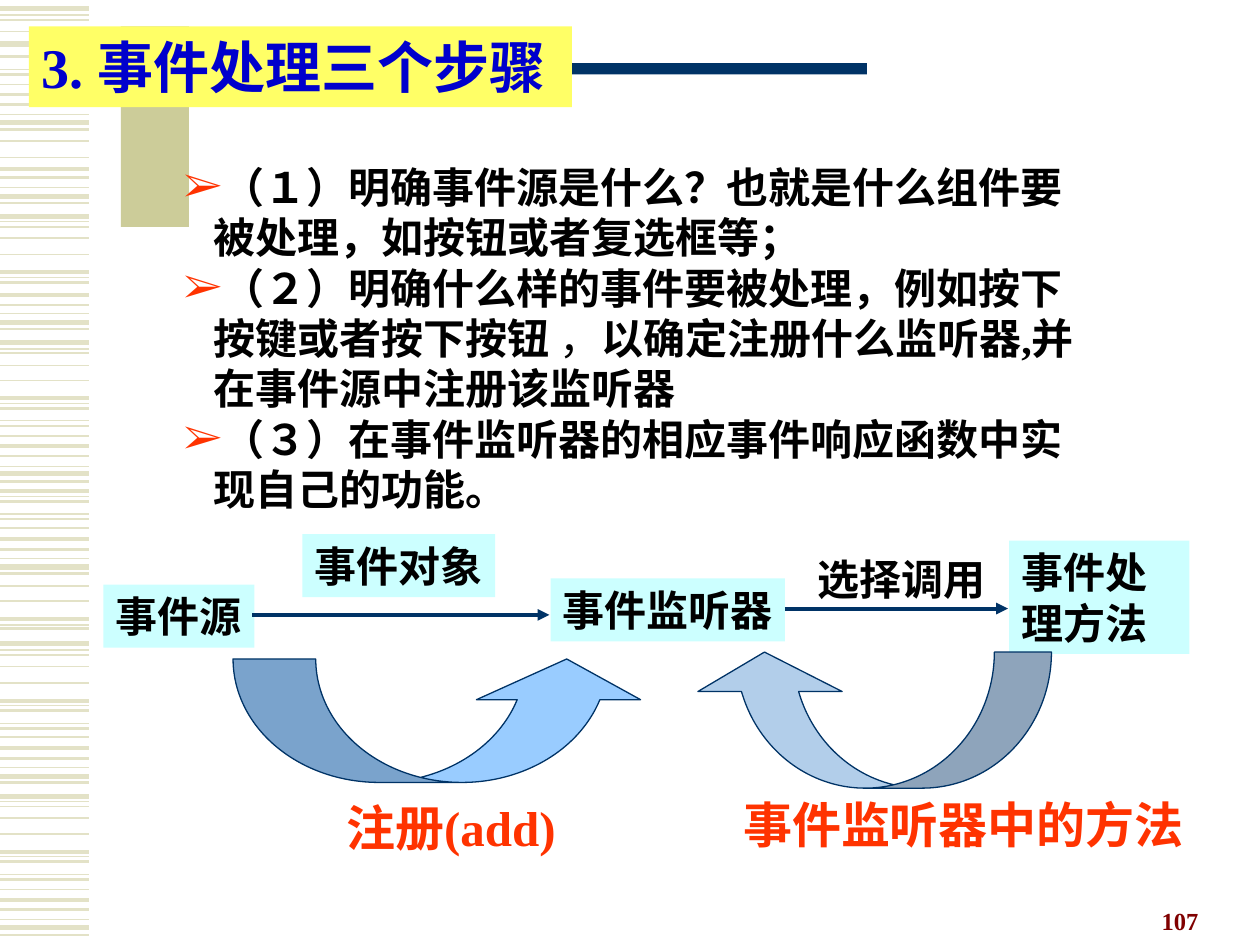
from lxml import etree
from pptx import Presentation, util as u
from pptx.dml.color import RGBColor
from pptx.enum import lang, shapes, text
from pptx.oxml import ns

FONT = "Times New Roman"
COLORS = {
    "stripe": "E3E2C7", "khaki": "CCCC99", "navy": "003366", "yellow": "FFFF66",
    "blue": "0000CC", "cyan": "CCFFFF", "black": "000000", "red": "FF3300",
    "maroon": "800000", "sky": "99CCFF", "pale": "B2CEEA",
}

# Heights of the stripes in the left margin, by line width in points
STRIPE_END = 0.71
STRIPES = {
    0.75: [0.12, 0.55, 0.91, 1.49, 1.76, 2.2, 2.49, 2.77, 3.2, 3.34, 3.7, 3.94, 4.08,
           4.43, 4.96, 5.16, 5.6, 5.74, 6.09, 6.36, 6.8, 6.94, 7.3],
    1: [0.16, 0.25, 0.67, 1.12, 1.25, 1.8, 1.89, 2.02, 2.8, 2.9, 3.02, 3.46, 4.19,
        4.65, 4.77, 5.2, 5.29, 5.42, 5.85, 6.4, 6.49, 6.62, 7.06],
    1.5: [0.45, 0.59, 0.83, 1.03, 1.41, 1.61, 2.24, 2.42, 2.61, 3.24, 3.38, 3.62, 3.82,
          3.98, 4.12, 4.36, 4.55, 4.99, 5.64, 5.78, 6.02, 6.21, 6.84, 6.98, 7.22, 7.42],
    2.25: [0.75, 1.34, 2.16, 2.34, 3.16, 3.54, 3.9, 4.28, 4.91, 5.56, 5.94, 6.76, 7.14],
    3: [0.07, 0.35, 0.97, 1.56, 1.72, 2.56, 2.72, 3.76, 4.5, 5.11, 6.16, 6.32, 7.36],
}
BARS = [((0.96, 0.21, 0.54, 1.59), "khaki"), ((0.69, 0.5, 6.19, 0.09), "navy")]

TITLE = "3. 事件处理三个步骤"
# Each step is a list of (words, bold)
STEPS = [
    [("（１）明确事件源是什么？也就是什么组件要被处理，如按钮或者复选框等；", True)],
    [("（２）明确什么样的事件要被处理，例如按下按键或者按下按钮", True), (" ，", False),
     ("以确定注册什么监听器,并在事件源中注册该监听器", True)],
    [("（３）在事件监听器的相应事件响应函数中实现自己的功能。", True)],
]
# Words, place, fill, size, colour, wrap
LABELS = [
    ("事件源", (0.82, 4.64, 1.2, 0.5), "cyan", 24, "black", False),
    ("事件对象", (2.4, 4.24, 1.53, 0.5), "cyan", 24, "black", False),
    ("事件监听器", (4.37, 4.59, 1.86, 0.5), "cyan", 24, "black", False),
    ("选择调用", (6.39, 4.34, 1.53, 0.5), None, 24, "black", False),
    ("事件处理方法", (8.01, 4.29, 1.43, 0.9), "cyan", 24, "black", True),
    ("注册(add)", (2.65, 6.28, 1.95, 0.57), None, 28, "red", False),
    ("事件监听器中的方法", (5.8, 6.26, 3.69, 0.57), None, 28, "red", False),
]
ARROWS = [(2, 4.36, 4.88), (6.23, 8, 4.83)]  # from x, to x, y
# Preset, place, turn, fill, adjustments
CURVES = [
    (shapes.MSO_SHAPE.CURVED_UP_ARROW, (1.85, 5.23, 3.3, 0.98), 0, "sky",
     (0.67, 1.33, 0.33)),
    (shapes.MSO_SHAPE.CURVED_LEFT_ARROW, (6.38, 4.29, 1.08, 2.85), 90, "pale",
     (0.42, 1.06, 0.29)),
]


def color(name):
    return RGBColor.from_string(COLORS[name])


def inches(place):
    return [u.Inches(length) for length in place]


def add_line(slide, start, end, y, width, name, arrow=False):
    line = slide.shapes.add_connector(
        shapes.MSO_CONNECTOR.STRAIGHT, *inches((start, y, end, y)))
    line.line.width = u.Pt(width)
    line.line.color.rgb = color(name)
    if arrow:
        etree.SubElement(line.line._get_or_add_ln(), ns.qn("a:tailEnd"), type="triangle")
    etree.SubElement(line.element.spPr, ns.qn("a:effectLst"))


def add_block(slide, preset, place, fill):
    block = slide.shapes.add_shape(preset, *inches(place))
    block.shadow.inherit = False
    block.fill.solid()
    block.fill.fore_color.rgb = color(fill)
    block.line.fill.background()
    return block


def write(para, spans, size, name, align=text.PP_ALIGN.LEFT):
    para.alignment = align
    para.font.name, para.font.size, para.font.bold = FONT, u.Pt(size), True
    para.font.color.rgb = color(name)
    for words, bold in spans:
        span = para.add_run()
        span.text = words
        span.font.language_id = lang.MSO_LANGUAGE_ID.SIMPLIFIED_CHINESE
        if not bold:
            span.font.bold = False


def set_frame(frame, wrap, anchor):
    frame.auto_size = text.MSO_AUTO_SIZE.NONE
    frame.word_wrap = wrap
    frame.vertical_anchor = anchor
    if not wrap:
        frame.margin_right = 0  # spare room keeps the words on one line


def add_box(slide, place, wrap=True, anchor=text.MSO_ANCHOR.TOP):
    box = slide.shapes.add_textbox(*inches(place))
    set_frame(box.text_frame, wrap, anchor)
    return box


def add_bullet(para):
    props = para._p.get_or_add_pPr()
    props.set("marL", str(u.Inches(0.24)))
    props.set("indent", str(-u.Inches(0.24)))
    tint = etree.SubElement(props, ns.qn("a:buClr"))
    etree.SubElement(tint, ns.qn("a:srgbClr"), val=COLORS["red"])
    etree.SubElement(props, ns.qn("a:buFont"), typeface=FONT)
    etree.SubElement(props, ns.qn("a:buChar"), char="➢")


def main():
    deck = Presentation()
    deck.slide_width, deck.slide_height = u.Inches(10), u.Inches(7.5)
    slide = deck.slides.add_slide(deck.slide_layouts[5])

    # Margin stripes and bars
    for width, heights in STRIPES.items():
        for y in heights:
            add_line(slide, 0, STRIPE_END, y, width, "stripe")
    for place, fill in BARS:
        add_block(slide, shapes.MSO_SHAPE.RECTANGLE, place, fill)

    # Title, brought in front of the bars
    title = slide.shapes.title
    title.left, title.top, title.width, title.height = inches((0.23, 0.21, 4.31, 0.64))
    title.fill.solid()
    title.fill.fore_color.rgb = color("yellow")
    set_frame(title.text_frame, False, text.MSO_ANCHOR.TOP)
    write(title.text_frame.paragraphs[0], [(TITLE, True)], 32, "blue")
    title.element.getparent().append(title.element)

    # Three steps
    frame = add_box(slide, (1.36, 1.23, 7.43, 2.9), anchor=text.MSO_ANCHOR.MIDDLE).text_frame
    for index, spans in enumerate(STEPS):
        para = frame.add_paragraph() if index else frame.paragraphs[0]
        add_bullet(para)
        write(para, spans, 24, "black")

    # Flow of events
    for words, place, fill, size, name, wrap in LABELS:
        box = add_box(slide, place, wrap)
        if fill:
            box.fill.solid()
            box.fill.fore_color.rgb = color(fill)
        write(box.text_frame.paragraphs[0], [(words, True)], size, name)
    for start, end, y in ARROWS:
        add_line(slide, start, end, y, 2.25, "navy", arrow=True)
    for preset, place, turn, fill, adjustments in CURVES:
        curve = add_block(slide, preset, place, fill)
        curve.rotation = turn
        curve.line.color.rgb = color("navy")
        curve.line.width = u.Pt(0.75)
        for index, value in enumerate(adjustments):
            curve.adjustments[index] = value

    # Page number
    box = add_box(slide, (7.21, 6.97, 2.4, 0.5), anchor=text.MSO_ANCHOR.BOTTOM)
    write(box.text_frame.paragraphs[0], [("107", True)], 14, "maroon", text.PP_ALIGN.RIGHT)

    deck.save("out.pptx")


if __name__ == "__main__":
    main()
